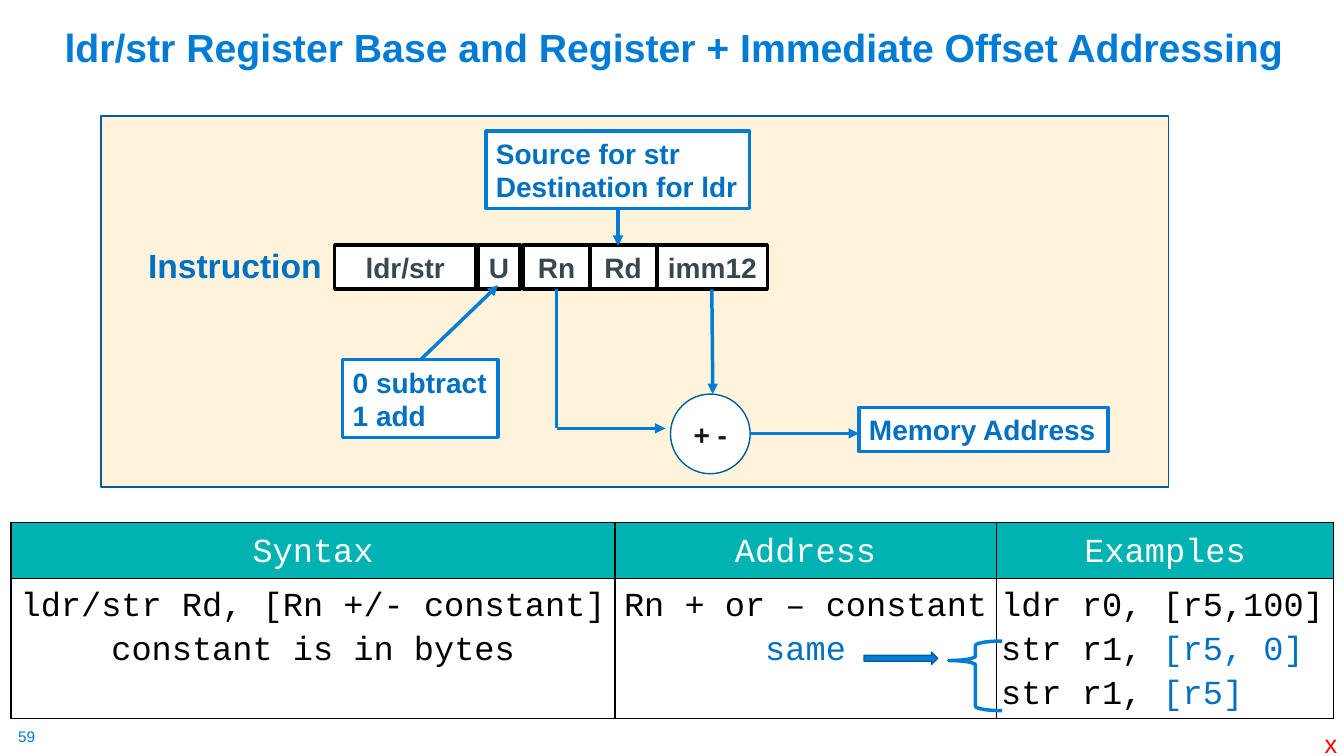
"""Build the slide on ldr/str base register and immediate offset addressing."""
from lxml.etree import SubElement
from pptx import Presentation
from pptx.dml.color import RGBColor
from pptx.enum.shapes import MSO_CONNECTOR, MSO_SHAPE
from pptx.enum.text import MSO_ANCHOR, PP_ALIGN
from pptx.oxml.ns import qn
from pptx.util import Inches, Pt

COLORS = {name: RGBColor.from_string(value) for name, value in {
    "blue": "007CD5", "text blue": "0070C0", "dark blue": "005C9E",
    "cream": "FFF4DB", "teal": "00B2B1", "slate": "384851",
    "ink": "181717", "black": "000000", "white": "FFFFFF", "red": "FF0000",
}.items()}
LABEL = {"name": "Arial", "size": Pt(20), "bold": True}
CODE = {"name": "Courier New", "size": Pt(24), "bold": False}


def write_text(frame, lines, font, align=PP_ALIGN.LEFT, spacing=None):
    """Fill a text frame with lines, each a list of (text, color) runs."""
    for index, runs in enumerate(lines):
        paragraph = frame.add_paragraph() if index else frame.paragraphs[0]
        paragraph.alignment = align
        paragraph.line_spacing = spacing
        for text, color in runs:
            run = paragraph.add_run()
            run.text = text
            for attribute, value in font.items():
                setattr(run.font, attribute, value)
            run.font.color.rgb = COLORS[color]


def add_figure(kind, bounds, fill, line, width):
    """Add a preset shape with its fill and outline."""
    shape = slide.shapes.add_shape(kind, *map(Inches, bounds))
    shape.shadow.inherit = False
    if fill:
        shape.fill.solid()
        shape.fill.fore_color.rgb = COLORS[fill]
    else:
        shape.fill.background()
    shape.line.color.rgb = COLORS[line]
    shape.line.width = Pt(width)
    return shape


presentation = Presentation()
presentation.slide_width = Inches(13.33)
presentation.slide_height = Inches(7.5)
slide = presentation.slides.add_slide(presentation.slide_layouts[5])

title = slide.shapes.title
for attribute, value in {"left": 0.54, "top": 0.21, "width": 12.5, "height": 0.54}.items():
    setattr(title, attribute, Inches(value))
title.text_frame.vertical_anchor = MSO_ANCHOR.BOTTOM
title.text_frame.word_wrap = True
write_text(
    title.text_frame,
    [[("ldr/str Register Base and Register + Immediate Offset Addressing", "blue")]],
    {**LABEL, "size": Pt(28)}, spacing=0.9)

add_figure(MSO_SHAPE.RECTANGLE, (1, 1.15, 10.59, 3.68), "cream", "dark blue", 1)

columns = [
    (5.99, "Syntax", PP_ALIGN.CENTER, MSO_ANCHOR.TOP,
     [[("ldr/str Rd, [Rn +/- constant]", "black")], [("constant is in bytes", "black")]]),
    (3.78, "Address", PP_ALIGN.CENTER, MSO_ANCHOR.TOP,
     [[("Rn + or – constant", "black")], [("same", "text blue")]]),
    (3.35, "Examples", PP_ALIGN.LEFT, MSO_ANCHOR.MIDDLE,
     [[("ldr r0, [r5,100]", "black")],
      [("str r1, ", "black"), ("[r5, 0]", "text blue")],
      [("str r1, ", "black"), ("[r5]", "text blue")]]),
]
table = slide.shapes.add_table(
    2, len(columns), Inches(0.11), Inches(5.18), Inches(13.12), Inches(1.94)).table
for row, height in zip(table.rows, (0.56, 1.38)):
    row.height = Inches(height)
for index, (width, heading, align, anchor, lines) in enumerate(columns):
    table.columns[index].width = Inches(width)
    header, body = table.cell(0, index), table.cell(1, index)
    write_text(header.text_frame, [[(heading, "white")]], CODE, PP_ALIGN.CENTER, 1.15)
    write_text(body.text_frame, lines, CODE, align, 1.15)
    for cell, fill, position, margin in (
            (header, "teal", MSO_ANCHOR.MIDDLE, 0.05), (body, "white", anchor, 0.04)):
        cell.vertical_anchor = position
        cell.margin_left = cell.margin_right = Inches(0.05)
        cell.margin_top = cell.margin_bottom = Inches(margin)
        properties = cell._tc.get_or_add_tcPr()
        for side in ("a:lnL", "a:lnR", "a:lnT", "a:lnB"):
            border = SubElement(properties, qn(side), w=str(Pt(1)))
            border_fill = SubElement(border, qn("a:solidFill"))
            SubElement(border_fill, qn("a:srgbClr"), val=str(COLORS["black"]))
        cell.fill.solid()
        cell.fill.fore_color.rgb = COLORS[fill]

for text, left, width in (
        ("ldr/str", 3.32, 1.4), ("Rd", 5.85, 0.66), ("imm12", 6.52, 1.09),
        ("Rn", 5.19, 0.66), ("U", 4.74, 0.42)):
    field = add_figure(
        MSO_SHAPE.RECTANGLE, (left, 2.43, width, 0.44), "white", "black", 2.5)
    field.text_frame.word_wrap = False
    write_text(field.text_frame, [[(text, "slate")]], LABEL, PP_ALIGN.CENTER)

for bounds, lines in (
        ((3.4, 3.57, 1.54, 0.77), ("0 subtract", "1 add")),
        ((8.52, 4.04, 2.47, 0.44), ("Memory Address",)),
        ((4.82, 1.3, 2.61, 0.77), ("Source for str", "Destination for ldr"))):
    note = add_figure(MSO_SHAPE.RECTANGLE, bounds, "white", "blue", 2.25)
    note.text_frame.word_wrap = False
    write_text(note.text_frame, [[(line, "text blue")] for line in lines], LABEL)

adder = add_figure(MSO_SHAPE.OVAL, (6.65, 3.91, 0.79, 0.79), "white", "dark blue", 1)
adder.text_frame.word_wrap = True
write_text(adder.text_frame, [[("+ -", "ink")]], LABEL, PP_ALIGN.CENTER)

for start, end, has_arrow in (
        ((7.06, 2.87), (7.07, 3.91), True),
        ((5.52, 2.87), (5.52, 4.25), False),
        ((5.52, 4.25), (6.6, 4.25), True),
        ((4.17, 3.57), (4.94, 2.83), True),
        ((7.44, 4.3), (8.52, 4.3), True),
        ((6.13, 2.08), (6.13, 2.44), True)):
    connector = slide.shapes.add_connector(
        MSO_CONNECTOR.STRAIGHT, *map(Inches, start + end))
    connector.line.color.rgb = COLORS["blue"]
    connector.line.width = Pt(2.5)
    if has_arrow:
        SubElement(connector.line._get_or_add_ln(), qn("a:tailEnd"), type="triangle")
    SubElement(connector._element.spPr, qn("a:effectLst"))

brace = add_figure(MSO_SHAPE.LEFT_BRACE, (9.41, 6.36, 0.53, 0.69), None, "blue", 2.5)
brace.adjustments[0], brace.adjustments[1] = 0.083, 0.28
add_figure(MSO_SHAPE.RIGHT_ARROW, (8.57, 6.47, 0.73, 0.12), "blue", "dark blue", 1)

for text, bounds, size, bold, color, margins in (
        ("Instruction", (1.37, 2.38, 1.94, 0.5), 24, True, "text blue", (0.1, 0.05)),
        ("59", (0.18, 7.21, 0.19, 0.19), 11, False, "blue", (0, 0)),
        ("x", (13.04, 7.18, 0.33, 0.4), 18, False, "red", (0.1, 0.05))):
    frame = slide.shapes.add_textbox(*map(Inches, bounds)).text_frame
    frame.word_wrap = False
    frame.margin_left = frame.margin_right = Inches(margins[0])
    frame.margin_top = frame.margin_bottom = Inches(margins[1])
    write_text(frame, [[(text, color)]], {**LABEL, "size": Pt(size), "bold": bold})

presentation.save("out.pptx")
